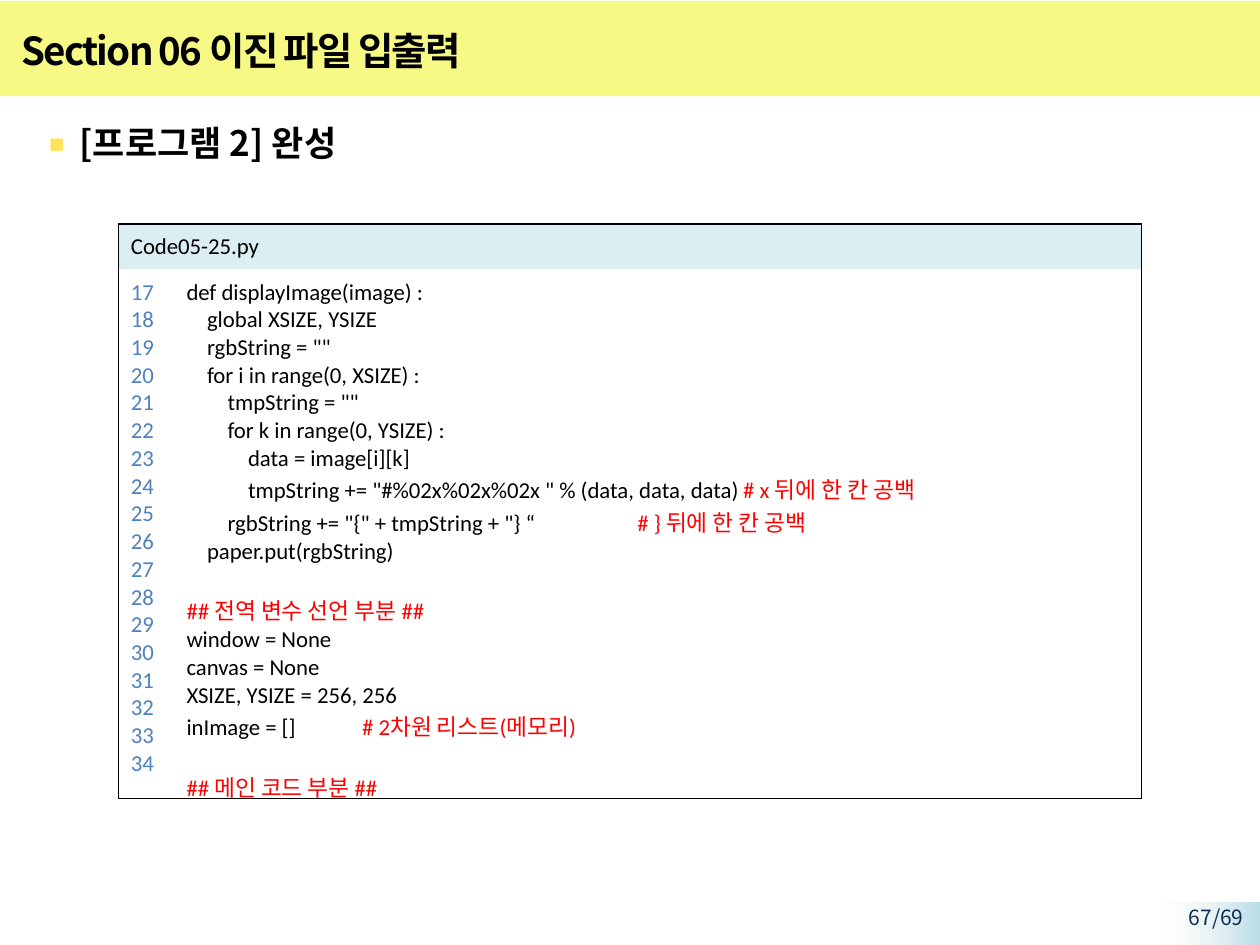
from lxml import etree
from pptx import Presentation
from pptx.dml.color import RGBColor
from pptx.enum.shapes import MSO_SHAPE
from pptx.enum.text import MSO_ANCHOR, PP_ALIGN
from pptx.oxml.ns import qn
from pptx.util import Cm, Pt

RECT = MSO_SHAPE.RECTANGLE
MIDDLE, TOP = MSO_ANCHOR.MIDDLE, MSO_ANCHOR.TOP
LEFT, RIGHT = PP_ALIGN.LEFT, PP_ALIGN.RIGHT
KOREAN, LATIN = "Noto Sans CJK KR", "Calibri"
TITLE_ONLY = 5
CODE_SIZE = 13
FIRST_LINE = 17

COLORS = {
    "band": "F6F983", "bullet": "FFE45B", "black": "000000",
    "header": "DBEEF4", "number": "4F81BD", "comment": "FF0000",
    "page": "0F2E53", "fade_from": "B7DEE8", "fade_to": "F2F2F2",
}

# Each code line is a pair: code, comment
CODE = [
    ("def displayImage(image) :", ""),
    ("    global XSIZE, YSIZE", ""),
    ('    rgbString = ""', ""),
    ("    for i in range(0, XSIZE) :", ""),
    ('        tmpString = ""', ""),
    ("        for k in range(0, YSIZE) :", ""),
    ("            data = image[i][k]", ""),
    ('            tmpString += "#%02x%02x%02x " % (data, data, data) ',
     "# x 뒤에 한 칸 공백"),
    ('        rgbString += "{" + tmpString + "} “                    ',
     "# } 뒤에 한 칸 공백"),
    ("    paper.put(rgbString)", ""),
    ("", ""),
    ("", "## 전역 변수 선언 부분 ##"),
    ("window = None", ""),
    ("canvas = None", ""),
    ("XSIZE, YSIZE = 256, 256", ""),
    ("inImage = []             ", "# 2차원 리스트(메모리)"),
    ("", ""),
    ("", "## 메인 코드 부분 ##"),
]


def rgb(name):
    return RGBColor.from_string(COLORS[name])


def add_text(p, text, size=CODE_SIZE, color="black", font=LATIN, bold=False,
             spacing=0):
    r = p.add_run()
    r.text = text
    r.font.size, r.font.bold, r.font.name = Pt(size), bold, font
    r.font.color.rgb = rgb(color)
    rPr = r.font._element
    if spacing:
        rPr.set("spc", str(spacing * 100))
    etree.SubElement(rPr, qn("a:ea")).set("typeface", KOREAN)


def add_rect(slide, box):
    sp = slide.shapes.add_shape(RECT, *map(Cm, box))
    sp.shadow.inherit = False
    sp.line.fill.background()
    return sp


def add_box(slide, box, align=LEFT):
    tf = slide.shapes.add_textbox(*map(Cm, box)).text_frame
    tf.word_wrap = True
    tf.paragraphs[0].alignment = align
    return tf


def add_title(slide, box, text):
    left, top, width, height = box
    # Band behind the title
    sp = add_rect(slide, box)
    sp.fill.solid()
    sp.fill.fore_color.rgb = rgb("band")
    # Title moved in front of the band
    title = slide.shapes.title
    slide.shapes._spTree.append(title._element)
    title.left, title.top = Cm(left + 0.18), Cm(top + 0.33)
    title.width, title.height = Cm(21.6), Cm(height - 0.61)
    tf = title.text_frame
    tf.vertical_anchor, tf.word_wrap = MIDDLE, True
    p = tf.paragraphs[0]
    p.alignment = LEFT
    add_text(p, text, size=22, font=KOREAN, bold=True, spacing=-1)


def add_heading(slide, box, text):
    p = add_box(slide, box).paragraphs[0]
    p.line_spacing = 1.2
    pPr = p._p.get_or_add_pPr()
    pPr.set("marL", str(Cm(1)))
    pPr.set("indent", str(-Cm(0.74)))
    color = etree.SubElement(pPr, qn("a:buClr"))
    etree.SubElement(color, qn("a:srgbClr")).set("val", COLORS["bullet"])
    etree.SubElement(pPr, qn("a:buSzPct")).set("val", "130000")
    etree.SubElement(pPr, qn("a:buFont")).set("typeface", KOREAN)
    etree.SubElement(pPr, qn("a:buChar")).set("char", "▪")
    add_text(p, text, size=20, font=KOREAN, bold=True)


def format_cell(cell, sides, fill=None):
    """Draw the borders named in sides, hide the others, and fill the cell."""
    tcPr = cell._tc.get_or_add_tcPr()
    for side in "LRTB":
        ln = etree.SubElement(tcPr, qn(f"a:ln{side}"), w=str(Pt(1)))
        if side in sides:
            solid = etree.SubElement(ln, qn("a:solidFill"))
            etree.SubElement(solid, qn("a:srgbClr")).set("val", COLORS["black"])
        else:
            etree.SubElement(ln, qn("a:noFill"))
    if fill:
        cell.fill.solid()
        cell.fill.fore_color.rgb = rgb(fill)
    else:
        cell.fill.background()
    cell.margin_left = cell.margin_right = Cm(0.25)
    cell.margin_top = cell.margin_bottom = Cm(0.18)
    cell.vertical_anchor = TOP


def fill_lines(cell, lines):
    """Write one paragraph per line; a line is a list of (text, color)."""
    tf = cell.text_frame
    for i, parts in enumerate(lines):
        p = tf.add_paragraph() if i else tf.paragraphs[0]
        for text, color in parts:
            if text:
                add_text(p, text, color=color)
        if not p.runs:
            end = etree.SubElement(p._p, qn("a:endParaRPr"))
            end.set("sz", str(CODE_SIZE * 100))
            etree.SubElement(end, qn("a:latin")).set("typeface", LATIN)


def add_code(slide, box, name, code, first):
    left, top, width, height = box
    number_width, header_height = 1.12, 0.87
    table = slide.shapes.add_table(2, 2, *map(Cm, box)).table
    table.first_row = table.horz_banding = False
    table.columns[0].width = Cm(number_width)
    table.columns[1].width = Cm(width - number_width)
    table.rows[0].height = Cm(header_height)
    table.rows[1].height = Cm(height - header_height)

    # File name across both columns
    format_cell(table.cell(0, 0), "LRT", "header")
    format_cell(table.cell(0, 1), "RT", "header")
    table.cell(0, 0).merge(table.cell(0, 1))
    fill_lines(table.cell(0, 0), [[(name, "black")]])

    # Line numbers and code
    numbers, body = table.cell(1, 0), table.cell(1, 1)
    format_cell(numbers, "LB")
    format_cell(body, "RB")
    fill_lines(numbers, [[(str(first + i), "number")] for i in range(len(code))])
    fill_lines(body, [[(text, "black"), (note, "comment")] for text, note in code])


def add_page_number(slide, box, text):
    left, top, width, height = box
    # Tint that fades out to the left
    sp = add_rect(slide, box)
    sp.fill.gradient()
    sp.fill.gradient_angle = 180
    start, end = sp.fill.gradient_stops
    start.color.rgb, end.color.rgb = rgb("fade_from"), rgb("fade_to")
    last = sp._element.spPr.findall(".//" + qn("a:srgbClr"))[-1]
    etree.SubElement(last, qn("a:alpha")).set("val", "0")
    # Number
    tf = add_box(slide, (left - 0.38, top, width + 0.3, 0.58), RIGHT)
    tf.margin_top = tf.margin_bottom = 0
    tf.vertical_anchor = MIDDLE
    add_text(tf.paragraphs[0], text, size=12, color="page", font=KOREAN)


def main():
    prs = Presentation()
    prs.slide_width, prs.slide_height = Cm(25.4), Cm(19.05)
    slide = prs.slides.add_slide(prs.slide_layouts[TITLE_ONLY])
    add_title(slide, (0, 0.02, 25.4, 1.92), "Section 06 이진 파일 입출력")
    add_heading(slide, (0.18, 2.16, 24.9, 1.5), "[프로그램 2] 완성")
    add_code(slide, (2.39, 4.52, 20.62, 11.53), "Code05-25.py", CODE, FIRST_LINE)
    add_page_number(slide, (23.37, 18.19, 2.03, 0.86), "67/69")
    prs.save("out.pptx")


if __name__ == "__main__":
    main()
